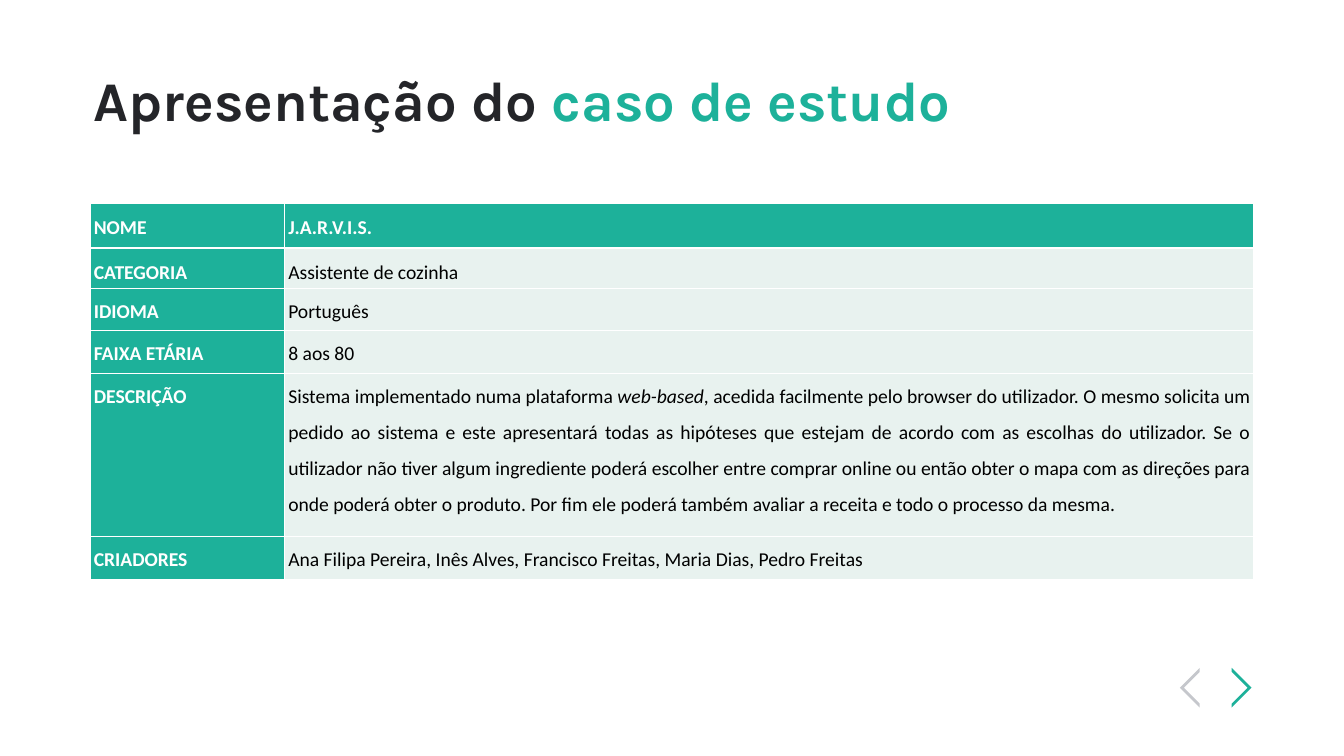
import pptx
import pptx.util
import pptx.dml.color
import pptx.enum.text
import pptx.oxml.ns
import lxml.etree

Cm = pptx.util.Cm
Pt = pptx.util.Pt

COLORS = {
    "ink": "242529",
    "green": "1DB19A",
    "pale": "E8F2EF",
    "grey": "C5C7CC",
    "white": "FFFFFF",
    "black": "000000",
}


def add_span(para, text, font, size, color, bold=False, italic=False):
    span = para.add_run()
    span.text = text
    span.font.name = font
    span.font.size = Pt(size)
    span.font.bold = bold
    span.font.italic = italic
    span.font.color.rgb = pptx.dml.color.RGBColor.from_string(COLORS[color])


def add_border(cell, side, width):
    """Draw a white line on one side (L, R, T or B) of a cell."""
    qn = pptx.oxml.ns.qn
    properties = cell._tc.get_or_add_tcPr()
    line = lxml.etree.SubElement(properties, qn(f"a:ln{side}"), w=str(Pt(width)))
    fill = lxml.etree.SubElement(line, qn("a:solidFill"))
    lxml.etree.SubElement(fill, qn("a:srgbClr"), val=COLORS["white"])


deck = pptx.Presentation()
deck.slide_width = Cm(67.74)
deck.slide_height = Cm(38.1)
page = deck.slides.add_slide(deck.slide_layouts[6])

# Title
title = page.shapes.add_textbox(Cm(4.45), Cm(3.25), Cm(58.88), Cm(3.53))
title.text_frame.word_wrap = True
title.text_frame.vertical_anchor = pptx.enum.text.MSO_ANCHOR.MIDDLE
title_para = title.text_frame.paragraphs[0]
add_span(title_para, "Apresentação do ", "Karla", 80, "ink", bold=True)
add_span(title_para, "caso de estudo", "Karla", 80, "green", bold=True)

# Navigation arrows: tip position, direction and colour
arrows = page.shapes.add_group_shape()
outline = [(0, 0), (1, 1), (0, 2), (0, 1.8), (0.8, 1), (0, 0.2)]
for base_x, direction, color in [(62.08, 1, "green"), (60.47, -1, "grey")]:
    points = [(Cm(base_x + direction * x), Cm(33.66 + y)) for x, y in outline]
    builder = arrows.shapes.build_freeform(*points[0])
    builder.add_line_segments(points[1:], close=True)
    arrow = builder.convert_to_shape()
    arrow.shadow.inherit = False
    arrow.fill.solid()
    arrow.fill.fore_color.rgb = pptx.dml.color.RGBColor.from_string(COLORS[color])
    arrow.line.fill.background()

# Case study table: row height, label and (text, italic) spans
rows = [
    (2.26, "NOME", [("J.A.R.V.I.S.", False)]),
    (2.01, "CATEGORIA", [("Assistente de cozinha", False)]),
    (2.11, "IDIOMA", [("Português", False)]),
    (2.16, "FAIXA ETÁRIA", [("8 aos 80", False)]),
    (8.23, "DESCRIÇÃO", [
        ("Sistema implementado numa plataforma ", False),
        ("web-based", True),
        (", acedida facilmente pelo browser do utilizador. O mesmo solicita um "
         "pedido ao sistema e este apresentará todas as hipóteses que estejam de "
         "acordo com as escolhas do utilizador. Se o utilizador não tiver algum "
         "ingrediente poderá escolher entre comprar online ou então obter o mapa "
         "com as direções para onde poderá obter o produto. Por fim ele poderá "
         "também avaliar a receita e todo o processo da mesma.", False),
    ]),
    (2.18, "CRIADORES", [
        ("Ana Filipa Pereira, Inês Alves, Francisco Freitas, Maria Dias, Pedro Freitas", False),
    ]),
]
column_widths = [9.8, 48.84]
table = page.shapes.add_table(
    len(rows), len(column_widths), Cm(4.55), Cm(10.26),
    Cm(sum(column_widths)), Cm(sum(row[0] for row in rows)),
).table
for column, width in zip(table.columns, column_widths):
    column.width = Cm(width)

for row_index, (height, label, details) in enumerate(rows):
    table.rows[row_index].height = Cm(height)
    for column_index, spans in enumerate([[(label, False)], details]):
        cell = table.cell(row_index, column_index)
        is_header = row_index == 0 or column_index == 0
        cell.margin_left = cell.margin_right = Cm(0.18)
        cell.margin_top = cell.margin_bottom = 0
        for side in "LRTB":
            under_header = (row_index, side) in [(0, "B"), (1, "T")]
            add_border(cell, side, 3 if under_header else 1)
        cell.fill.solid()
        cell.fill.fore_color.rgb = pptx.dml.color.RGBColor.from_string(
            COLORS["green" if is_header else "pale"])
        para = cell.text_frame.paragraphs[0]
        para.alignment = pptx.enum.text.PP_ALIGN.JUSTIFY
        para.line_spacing = 1.5
        for text, italic in spans:
            add_span(para, text, "Calibri", 28, "white" if is_header else "black",
                     bold=is_header, italic=italic)

deck.save("out.pptx")
